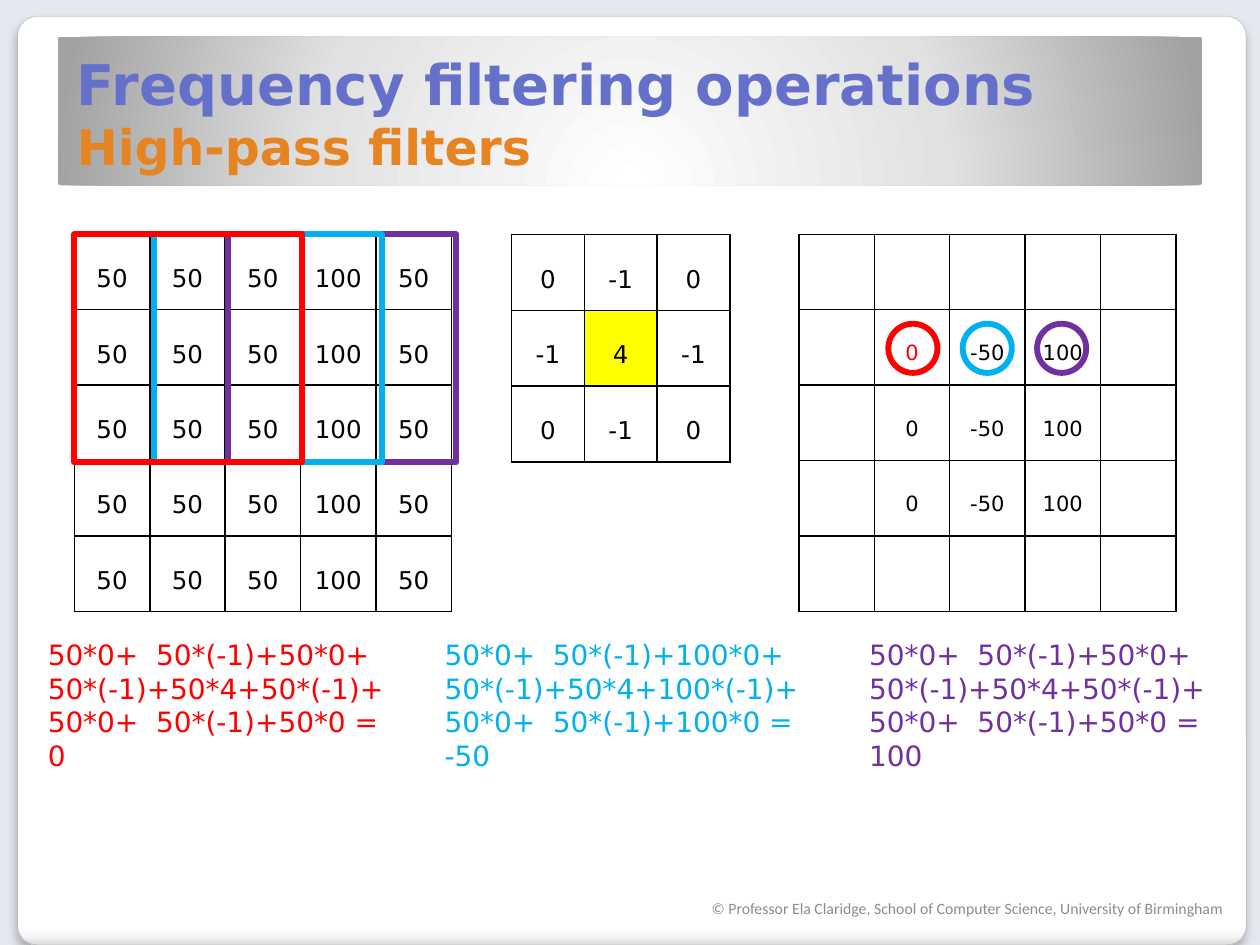
from pptx import Presentation
from pptx.dml.color import RGBColor
from pptx.enum import shapes, text
from pptx.oxml import parse_xml
from pptx.oxml import ns
from pptx.util import Pt

BACKGROUND = RGBColor(0xE4, 0xE9, 0xEF)
PANEL_EDGE = RGBColor(0xA4, 0xA4, 0xA4)
TITLE_BLUE = RGBColor(0x64, 0x70, 0xCA)
TITLE_ORANGE = RGBColor(0xE6, 0x84, 0x22)
BLACK = RGBColor(0, 0, 0)
RED = RGBColor(0xFF, 0, 0)
BLUE = RGBColor(0, 0xB0, 0xF0)
PURPLE = RGBColor(0x70, 0x30, 0xA0)
YELLOW = RGBColor(0xFF, 0xFF, 0)
GREY = RGBColor(0x8C, 0x8C, 0x8C)
FONT = "DejaVu Sans"

TABLE_TOP = 133.9
CELL = 43.1
WINDOW = 130.3

INPUT_ROWS = [["50", "50", "50", "100", "50"]] * 5
KERNEL_ROWS = [["0", "-1", "0"], ["-1", "4", "-1"], ["0", "-1", "0"]]
RESULT_ROWS = [[""] * 5, *[["", "0", "-50", "100", ""]] * 3, [""] * 5]

STEPS = [
    (PURPLE, 130.3, 592.6, 489.6, 221.8,
     ["50*0+  50*(-1)+50*0+", "50*(-1)+50*4+50*(-1)+", "50*0+  50*(-1)+50*0 =", "100"]),
    (BLUE, 87.8, 550.1, 247, 231.1,
     ["50*0+  50*(-1)+100*0+", "50*(-1)+50*4+100*(-1)+", "50*0+  50*(-1)+100*0 =", "-50"]),
    (RED, 42.5, 507.6, 20.2, 221.8,
     ["50*0+  50*(-1)+50*0+", "50*(-1)+50*4+50*(-1)+", "50*0+  50*(-1)+50*0 =", "0"]),
]


def add_run(paragraph, content, size, color, font=FONT, bold=False):
    run = paragraph.add_run()
    run.text = content
    run.font.name = font
    run.font.size = Pt(size)
    run.font.bold = bold
    run.font.color.rgb = color


def add_gradient_panel(slide, left, top, width, height, stops, direction):
    shape = slide.shapes.add_shape(
        shapes.MSO_SHAPE.ROUNDED_RECTANGLE, Pt(left), Pt(top), Pt(width), Pt(height))
    shape.adjustments[0] = 0.021
    shape.shadow.inherit = False
    shape.line.fill.background()
    stop_xml = "".join(
        f'<a:gs pos="{position * 1000}"><a:srgbClr val="{color}"/></a:gs>'
        for position, color in stops)
    gradient = parse_xml(
        f'<a:gradFill {ns.nsdecls("a")} rotWithShape="1">'
        f"<a:gsLst>{stop_xml}</a:gsLst>{direction}</a:gradFill>")
    shape.element.spPr.find(ns.qn("a:prstGeom")).addnext(gradient)
    return shape


def add_shadow(shape):
    effects = shape.element.spPr.find(ns.qn("a:effectLst"))
    effects.append(parse_xml(
        f'<a:outerShdw {ns.nsdecls("a")} blurRad="{Pt(6)}" dist="{Pt(4)}" dir="5400000">'
        '<a:srgbClr val="000000"><a:alpha val="25000"/></a:srgbClr></a:outerShdw>'))


def add_frame(slide):
    panel = add_gradient_panel(
        slide, 10.1, 9.4, 702, 530.6,
        [(0, "FFFFFF"), (98, "FFFFFF"), (99, "F7F7F7"), (100, "DADADA")],
        '<a:lin ang="5400000" scaled="0"/>')
    panel.line.color.rgb = PANEL_EDGE
    panel.line.width = Pt(0.16)
    add_shadow(panel)
    return add_gradient_panel(
        slide, 33.1, 20.9, 653.8, 85,
        [(0, "FFFFFF"), (55, "E1E1E1"), (100, "A2A2A2")],
        '<a:path path="circle"><a:fillToRect l="50000" t="175000" r="50000" b="-75000"/></a:path>')


def format_title(title, banner):
    banner.element.addnext(title.element)
    title.left, title.top, title.width, title.height = Pt(36.7), Pt(20.9), Pt(644.4), Pt(82.8)
    frame = title.text_frame
    frame.auto_size = text.MSO_AUTO_SIZE.NONE
    frame.vertical_anchor = text.MSO_ANCHOR.BOTTOM
    paragraph = frame.paragraphs[0]
    paragraph.alignment = text.PP_ALIGN.LEFT
    add_run(paragraph, "Frequency filtering operations", 32, TITLE_BLUE, bold=True)
    paragraph.add_line_break()
    add_run(paragraph, "High-pass filters", 28, TITLE_ORANGE, bold=True)


def add_borders(cell):
    properties = cell._tc.get_or_add_tcPr()
    for index, side in enumerate(("lnL", "lnR", "lnT", "lnB")):
        properties.insert(index, parse_xml(
            f'<a:{side} {ns.nsdecls("a")} w="{Pt(1)}"><a:solidFill>'
            f'<a:srgbClr val="{BLACK}"/></a:solidFill></a:{side}>'))


def add_grid(slide, left, rows, column_width, row_height, size):
    table = slide.shapes.add_table(
        len(rows), len(rows[0]), Pt(left), Pt(TABLE_TOP),
        Pt(column_width * len(rows[0])), Pt(row_height * len(rows))).table
    table.first_row = False
    table.horz_banding = False
    for column in table.columns:
        column.width = Pt(column_width)
    for row, values in zip(table.rows, rows):
        row.height = Pt(row_height)
        for cell, value in zip(row.cells, values):
            cell.fill.background()
            add_borders(cell)
            cell.vertical_anchor = text.MSO_ANCHOR.MIDDLE
            cell.margin_left = cell.margin_right = Pt(7.2)
            cell.margin_top = cell.margin_bottom = Pt(3.6)
            paragraph = cell.text_frame.paragraphs[0]
            paragraph.alignment = text.PP_ALIGN.CENTER
            paragraph.line_spacing = 1.5
            if value:
                add_run(paragraph, value, size, BLACK)
    return table


def add_outline(slide, kind, left, top, size, color):
    shape = slide.shapes.add_shape(kind, Pt(left), Pt(top), Pt(size), Pt(size))
    shape.shadow.inherit = False
    shape.fill.background()
    shape.line.color.rgb = color
    shape.line.width = Pt(3.35)


def add_text(slide, left, top, width, height, lines, size, color, font=FONT):
    box = slide.shapes.add_textbox(Pt(left), Pt(top), Pt(width), Pt(height))
    frame = box.text_frame
    frame.word_wrap = True
    for index, line in enumerate(lines):
        paragraph = frame.add_paragraph() if index else frame.paragraphs[0]
        add_run(paragraph, line, size, color, font)
    return frame


def main():
    presentation = Presentation()
    presentation.slide_width, presentation.slide_height = Pt(720), Pt(540)
    slide = presentation.slides.add_slide(presentation.slide_layouts[5])
    slide.background.fill.solid()
    slide.background.fill.fore_color.rgb = BACKGROUND

    banner = add_frame(slide)
    format_title(slide.shapes.title, banner)

    kernel = add_grid(slide, 292.3, KERNEL_ROWS, 41.6, 43.4, 14)
    center = kernel.cell(1, 1)
    center.fill.solid()
    center.fill.fore_color.rgb = YELLOW
    add_grid(slide, 42.5, INPUT_ROWS, CELL, CELL, 14)
    result = add_grid(slide, 456.5, RESULT_ROWS, CELL, CELL, 12)
    result.cell(1, 1).text_frame.paragraphs[0].runs[0].font.color.rgb = RED

    for color, window_left, circle_left, sum_left, sum_width, lines in STEPS:
        add_outline(slide, shapes.MSO_SHAPE.RECTANGLE, window_left, TABLE_TOP, WINDOW, color)
        add_text(slide, sum_left, 360.7, sum_width, 87, lines, 16, color)
        add_outline(slide, shapes.MSO_SHAPE.OVAL, circle_left, 185, 28.1, color)

    footer = add_text(
        slide, 399.6, 513.4, 310.3, 26.6,
        ["© Professor Ela Claridge, School of Computer Science, University of Birmingham"],
        9, GREY, "Calibri")
    footer.margin_top = 0
    presentation.save("out.pptx")


if __name__ == "__main__":
    main()
